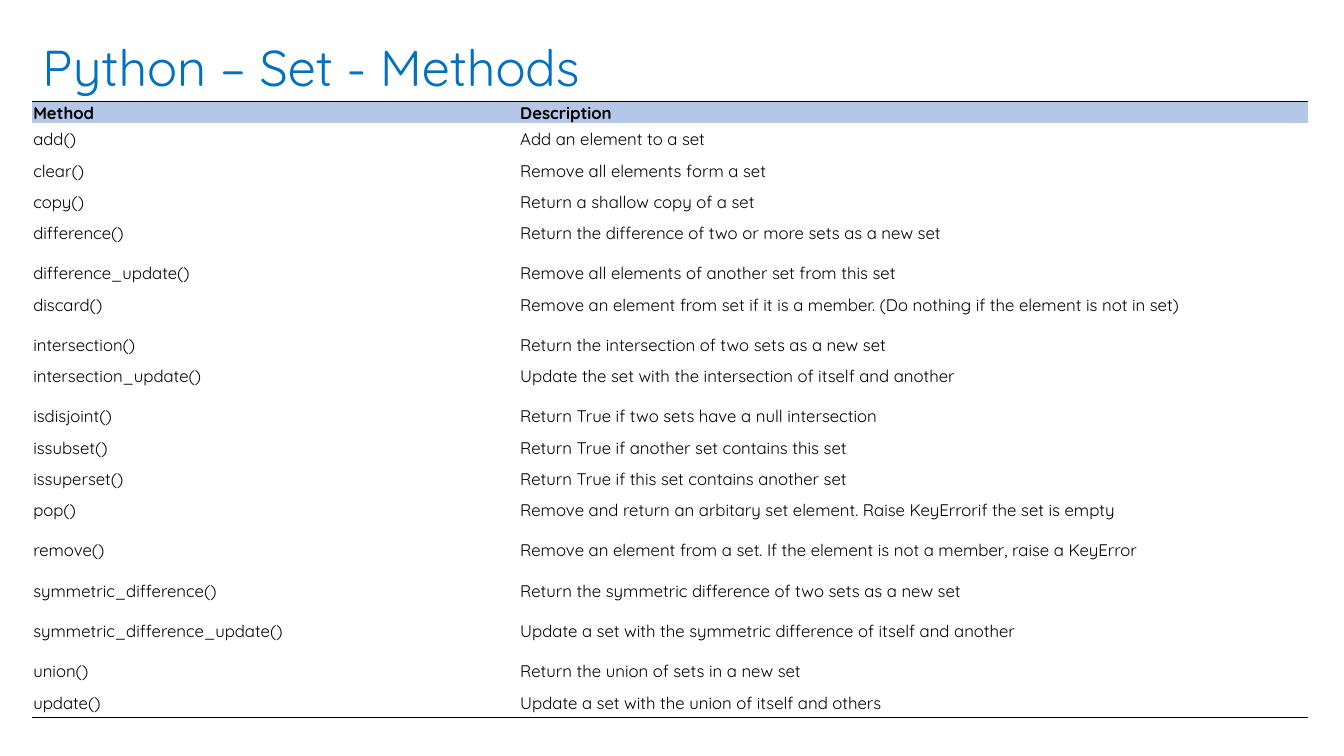
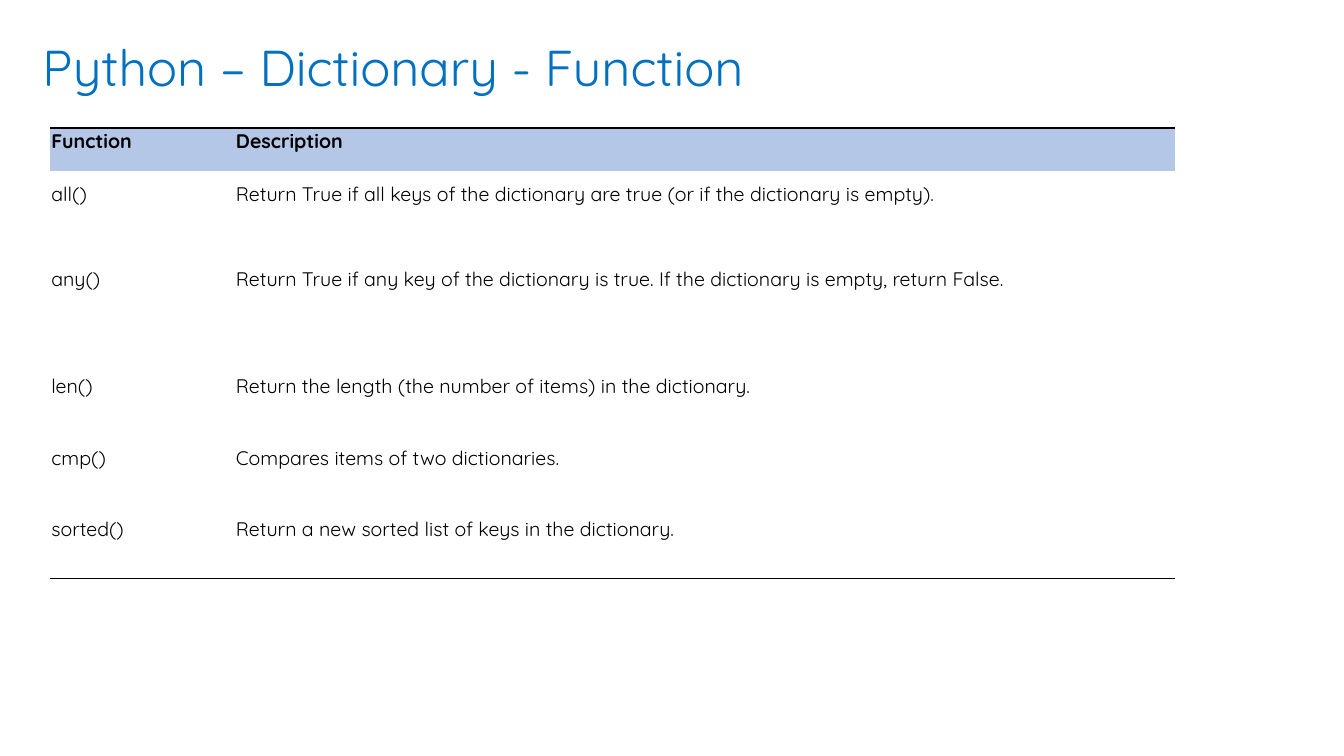
from lxml.etree import SubElement
from pptx import Presentation
from pptx.dml.color import RGBColor
from pptx.enum.text import MSO_ANCHOR, MSO_AUTO_SIZE, PP_ALIGN
from pptx.oxml.ns import qn
from pptx.util import Inches, Pt

FONT = "Quicksand"
TITLE_COLOR = "0070C0"
TEXT_COLOR = "000000"
HEADER_FILL = "B4C7E7"
PLAIN_TABLE_STYLE = "{2D5ABB26-0587-4C30-8999-92F81FD0307C}"
SHORT, TALL = 0.31, 0.4

SET_METHODS = [
    ("add()", "Add an element to a set", SHORT),
    ("clear()", "Remove all elements form a set", SHORT),
    ("copy()", "Return a shallow copy of a set", SHORT),
    ("difference()", "Return the difference of two or more sets as a new set", TALL),
    ("difference_update()", "Remove all elements of another set from this set", SHORT),
    ("discard()", "Remove an element from set if it is a member. "
     "(Do nothing if the element is not in set)", TALL),
    ("intersection()", "Return the intersection of two sets as a new set", SHORT),
    ("intersection_update()", "Update the set with the intersection of itself and another", TALL),
    ("isdisjoint()", "Return True if two sets have a null intersection", SHORT),
    ("issubset()", "Return True if another set contains this set", SHORT),
    ("issuperset()", "Return True if this set contains another set", SHORT),
    ("pop()", "Remove and return an arbitary set element. "
     "Raise KeyErrorif the set is empty", TALL),
    ("remove()", "Remove an element from a set. "
     "If the element is not a member, raise a KeyError", TALL),
    ("symmetric_difference()", "Return the symmetric difference of two sets as a new set", TALL),
    ("symmetric_difference_update()",
     "Update a set with the symmetric difference of itself and another", TALL),
    ("union()", "Return the union of sets in a new set", SHORT),
    ("update()", "Update a set with the union of itself and others", SHORT),
]

DICTIONARY_FUNCTIONS = [
    ("all()", "Return True if all keys of the dictionary are true "
     "(or if the dictionary is empty).", 0.85),
    ("any()", "Return True if any key of the dictionary is true. "
     "If the dictionary is empty, return False.", 1.06),
    ("len()", "Return the length (the number of items) in the dictionary.", 0.71),
    ("cmp()", "Compares items of two dictionaries.", 0.71),
    ("sorted()", "Return a new sorted list of keys in the dictionary.", 0.71),
]


def rgb(value):
    return RGBColor.from_string(value)


def add_text(p, text, size, color, bold=False):
    r = p.add_run()
    r.text = text
    r.font.name = FONT
    r.font.size = Pt(size)
    r.font.bold = bold
    r.font.color.rgb = rgb(color)


def add_titled_slide(prs, title):
    s = prs.slides.add_slide(prs.slide_layouts[5])
    sp = s.shapes.title
    sp.left, sp.top = Inches(0.32), Inches(0.31)
    sp.width, sp.height = Inches(9.51), Inches(0.71)
    tf = sp.text_frame
    tf.word_wrap = True
    tf.auto_size = MSO_AUTO_SIZE.SHAPE_TO_FIT_TEXT
    tf.vertical_anchor = MSO_ANCHOR.TOP
    p = tf.paragraphs[0]
    p.alignment = PP_ALIGN.LEFT
    add_text(p, title, 36, TITLE_COLOR)
    return s


def add_border(cell, side):
    tc_pr = cell._tc.get_or_add_tcPr()
    ln = SubElement(tc_pr, qn(f"a:{side}"), w=str(Pt(1)))
    fill = SubElement(ln, qn("a:solidFill"))
    SubElement(fill, qn("a:srgbClr"), val=TEXT_COLOR)
    tc_pr.insert(0, ln)


def fill_cell(cell, text, size, padding, header=False):
    top, bottom = (0.01, 0) if header else padding
    cell.margin_left = cell.margin_right = Inches(0.01)
    cell.margin_top, cell.margin_bottom = Inches(top), Inches(bottom)
    cell.vertical_anchor = MSO_ANCHOR.TOP
    if header:
        cell.fill.solid()
        cell.fill.fore_color.rgb = rgb(HEADER_FILL)
    else:
        cell.fill.background()
    add_text(cell.text_frame.paragraphs[0], text, size, TEXT_COLOR, header)


def add_reference_table(s, left, top, widths, header, entries, size, padding):
    rows = [header] + entries
    height = sum(row[-1] for row in rows)
    frame = s.shapes.add_table(len(rows), len(widths), Inches(left), Inches(top),
                               Inches(sum(widths)), Inches(height))
    table = frame.table
    table.horz_banding = False
    table._tbl.tblPr.find(qn("a:tableStyleId")).text = PLAIN_TABLE_STYLE
    for column, width in zip(table.columns, widths):
        column.width = Inches(width)
    for i, (*texts, row_height) in enumerate(rows):
        table.rows[i].height = Inches(row_height)
        for j, text in enumerate(texts):
            fill_cell(table.cell(i, j), text, size, padding, header=i == 0)
    for j in range(len(widths)):
        add_border(table.cell(0, j), "lnT")
        add_border(table.cell(len(rows) - 1, j), "lnB")


def main():
    prs = Presentation()
    prs.slide_width, prs.slide_height = Inches(13.33), Inches(7.5)

    s = add_titled_slide(prs, "Python – Set - Methods")
    add_reference_table(s, 0.32, 1.01, (4.83, 7.82), ("Method", "Description", 0.21),
                        SET_METHODS, 12, (0.06, 0.04))

    s = add_titled_slide(prs, "Python – Dictionary - Function")
    add_reference_table(s, 0.5, 1.27, (1.83, 9.32), ("Function", "Description", 0.43),
                        DICTIONARY_FUNCTIONS, 14, (0.1, 0.09))

    prs.save("out.pptx")


if __name__ == "__main__":
    main()
